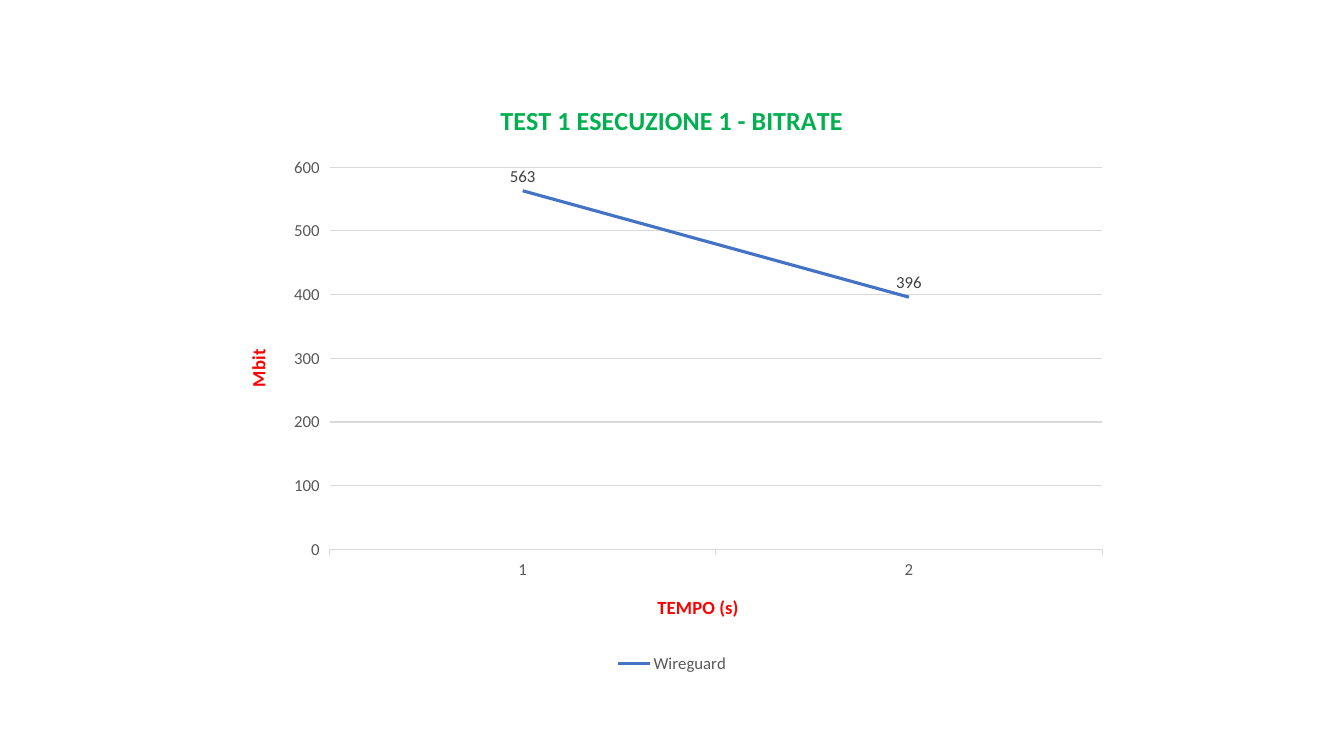
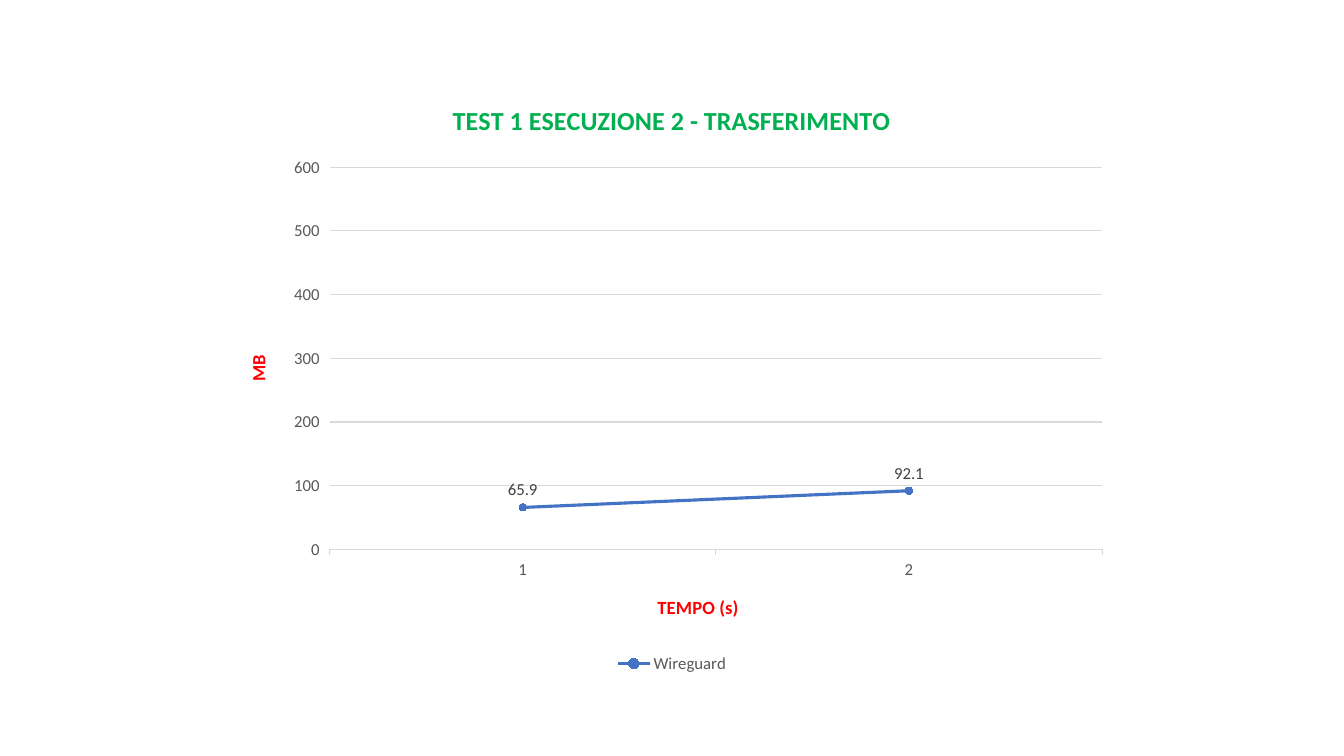
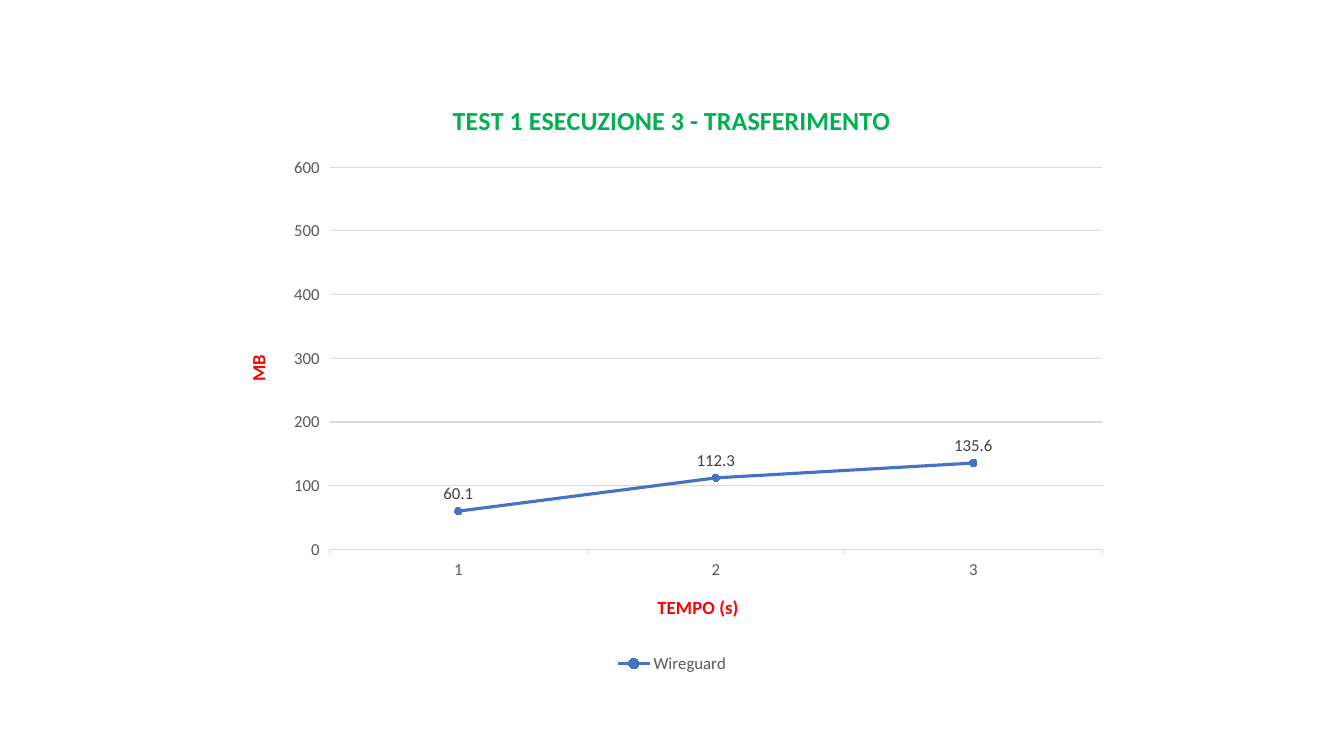
import pptx
import pptx.chart.data
import pptx.dml.color
import pptx.enum.chart
import pptx.util

Pt = pptx.util.Pt
Kind = pptx.enum.chart.XL_CHART_TYPE

FACE = "Calibri"
GREEN, RED, BLUE = "00B050", "FF0000", "4472C4"
GRAY, DARK, PALE = "595959", "404040", "D9D9D9"
FRAME = (160, 57, 640, 427)

TESTS = [
    ("TEST 1 ESECUZIONE 1 - BITRATE", "Mbit", Kind.LINE, [563, 396]),
    ("TEST 1 ESECUZIONE 2 - TRASFERIMENTO", "MB", Kind.LINE_MARKERS,
     [65.9, 92.1]),
    ("TEST 1 ESECUZIONE 3 - TRASFERIMENTO", "MB", Kind.LINE_MARKERS,
     [60.1, 112.3, 135.6]),
]


def rgb(code):
    return pptx.dml.color.RGBColor.from_string(code)


def style(font, size, color, bold=False):
    font.name = FACE
    font.size = Pt(size)
    font.bold = bold
    font.color.rgb = rgb(color)


def rule(line, color, width):
    line.color.rgb = rgb(color)
    line.width = Pt(width)


def head(owner, text, size, color):
    """Give a chart or an axis its bold title."""
    owner.has_title = True
    title = owner.chart_title if hasattr(owner, "chart_title") else owner.axis_title
    frame = title.text_frame
    run = frame.paragraphs[0].add_run()
    run.text = text
    style(run.font, size, color, True)
    return frame


def set_axes(chart, unit):
    time, value = chart.category_axis, chart.value_axis
    for axis in (time, value):
        style(axis.tick_labels.font, 12, GRAY)
    head(time, "TEMPO (s)", 13.3, RED)
    rule(time.format.line, PALE, 0.75)

    body = head(value, unit, 13.3, RED)._txBody.bodyPr
    body.set("rot", "-5400000")
    body.set("vert", "horz")
    value.minimum_scale, value.maximum_scale = 0, 600
    value.major_unit = 100
    value.format.line.fill.background()
    value.has_major_gridlines = True
    rule(value.major_gridlines.format.line, PALE, 0.75)


def set_line(series, marked):
    series.smooth = False
    rule(series.format.line, BLUE, 2.25)
    if marked:
        marker = series.marker
        marker.style = pptx.enum.chart.XL_MARKER_STYLE.CIRCLE
        marker.size = 5
        marker.format.fill.solid()
        marker.format.fill.fore_color.rgb = rgb(BLUE)
        rule(marker.format.line, BLUE, 0.75)
    labels = series.data_labels
    labels.show_value = True
    labels.position = pptx.enum.chart.XL_LABEL_POSITION.ABOVE
    style(labels.font, 12, DARK)


def add_test(slide, box, title, unit, kind, values):
    data = pptx.chart.data.CategoryChartData()
    data.categories = [str(n) for n in range(1, len(values) + 1)]
    data.add_series("Wireguard", values)
    chart = slide.shapes.add_chart(kind, *map(Pt, box), data).chart
    style(chart.font, 10, "000000")
    chart.plots[0].vary_by_categories = False
    head(chart, title, 18.6, GREEN)
    set_axes(chart, unit)
    set_line(chart.plots[0].series[0], kind == Kind.LINE_MARKERS)
    chart.has_legend = True
    chart.legend.position = pptx.enum.chart.XL_LEGEND_POSITION.BOTTOM
    chart.legend.include_in_layout = False
    style(chart.legend.font, 12, GRAY)


def main():
    deck = pptx.Presentation()
    deck.slide_width, deck.slide_height = Pt(960), Pt(540)
    blank = deck.slide_layouts[6]
    for test in TESTS:
        add_test(deck.slides.add_slide(blank), FRAME, *test)
    deck.save("out.pptx")


if __name__ == "__main__":
    main()
